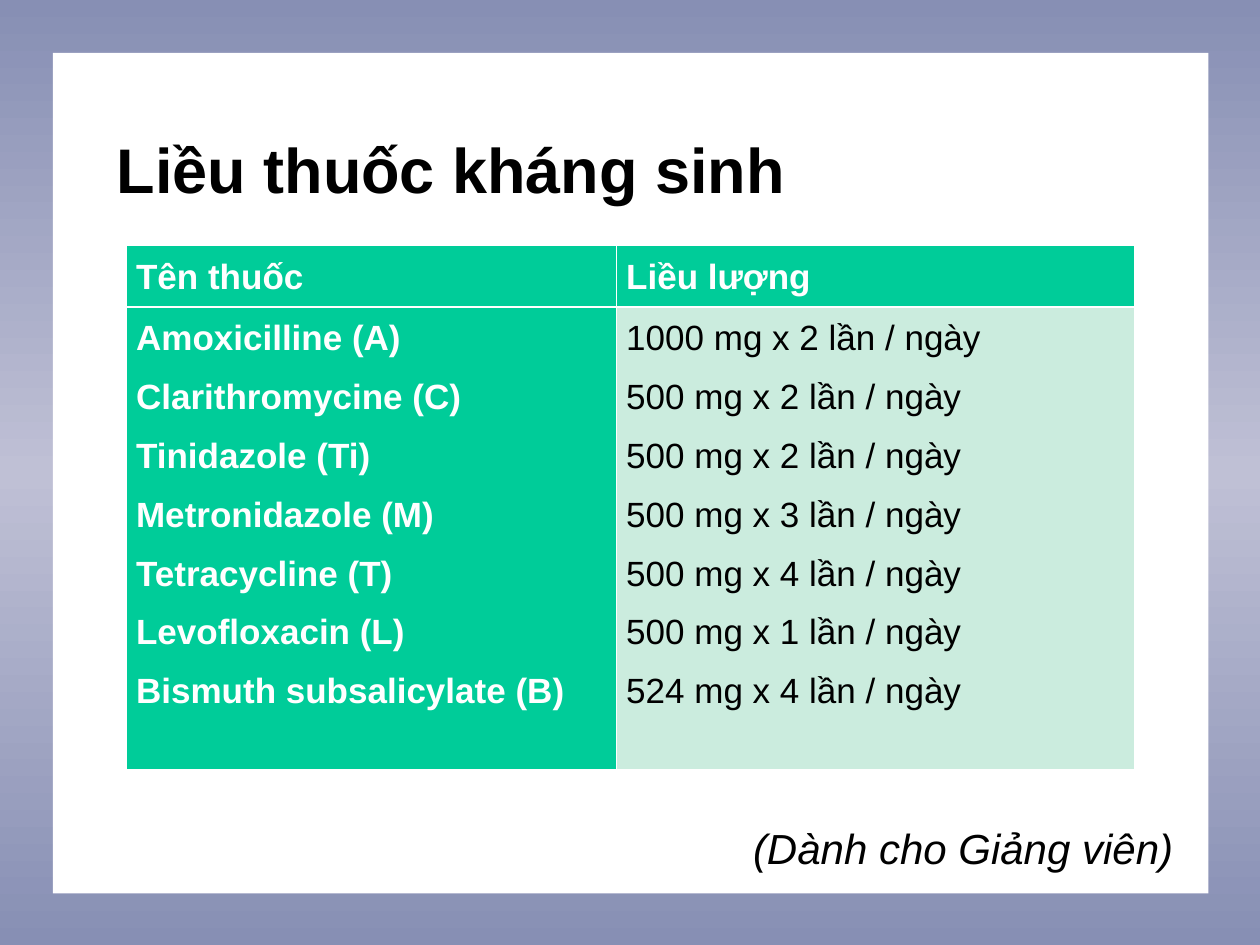
from copy import deepcopy

from pptx import Presentation
from pptx.dml.color import RGBColor
from pptx.enum.shapes import MSO_SHAPE as Shape
from pptx.enum.text import MSO_ANCHOR as Anchor, PP_ALIGN as Align
from pptx.oxml import parse_xml
from pptx.oxml.ns import nsdecls, qn
from pptx.util import Inches, Pt


def color(hex_string):
    return RGBColor.from_string(hex_string)


def add_run(paragraph, text, size, hex_string, bold=False, italic=False):
    run = paragraph.add_run()
    run.text = text
    font = run.font
    font.name, font.size = "Arial", Pt(size)
    font.bold, font.italic = bold, italic
    font.color.rgb = color(hex_string)


presentation = Presentation()
presentation.slide_width, presentation.slide_height = Inches(10), Inches(7.5)
slide = presentation.slides.add_slide(presentation.slide_layouts[6])

# Background gradient, darker at top and bottom
background = slide.background.fill
background.gradient()
background.gradient_angle = 90
stop_list = slide.element.find(".//" + qn("a:gsLst"))
stop_list.append(deepcopy(stop_list[-1]))
stops = [(0, "878FB4"), (0.5, "BFC0D5"), (1, "878FB4")]
for stop, (position, hex_string) in zip(background.gradient_stops, stops):
    stop.position = position
    stop.color.rgb = color(hex_string)

# White panel
panel = slide.shapes.add_shape(Shape.RECTANGLE, Inches(0.42), Inches(0.42),
                               Inches(9.17), Inches(6.67))
panel.shadow.inherit = False
panel.fill.solid()
panel.fill.fore_color.rgb = color("FFFFFF")
panel.line.fill.background()

# Title
title = slide.shapes.add_textbox(Inches(0.45), Inches(0), Inches(9), Inches(2.67))
title.text_frame.word_wrap = True
title.text_frame.vertical_anchor = Anchor.MIDDLE
paragraph = title.text_frame.paragraphs[0]
paragraph._p.get_or_add_pPr().set("marL", str(Inches(0.38)))
add_run(paragraph, "Liều thuốc kháng sinh", 36, "000000", bold=True)

# Audience note
note = slide.shapes.add_textbox(Inches(0.58), Inches(6.48), Inches(8.83), Inches(0.5))
note.text_frame.word_wrap = True
paragraph = note.text_frame.paragraphs[0]
paragraph.alignment = Align.RIGHT
add_run(paragraph, "(Dành cho Giảng viên)", 24, "000000", italic=True)

# Dose table: one header row, one body row with a paragraph per drug
doses = [
    ("Amoxicilline (A)", "1000 mg x 2 lần / ngày"),
    ("Clarithromycine (C)", "500 mg x 2 lần / ngày"),
    ("Tinidazole (Ti)", "500 mg x 2 lần / ngày"),
    ("Metronidazole (M)", "500 mg x 3 lần / ngày"),
    ("Tetracycline (T)", "500 mg x 4 lần / ngày"),
    ("Levofloxacin (L)", "500 mg x 1 lần / ngày"),
    ("Bismuth subsalicylate (B)", "524 mg x 4 lần / ngày"),
]
drugs, amounts = zip(*doses)
rows = [[["Tên thuốc"], ["Liều lượng"]], [drugs, amounts]]
table = slide.shapes.add_table(2, 2, Inches(1), Inches(1.95),
                               Inches(8), Inches(4.05)).table
for column, width in zip(table.columns, (3.89, 4.11)):
    column.width = Inches(width)
for row, height in zip(table.rows, (0.38, 3.67)):
    row.height = Inches(height)

for row_index, row in enumerate(rows):
    for column_index, lines in enumerate(row):
        cell = table.cell(row_index, column_index)
        is_dose = row_index == 1 and column_index == 1
        cell.margin_left = cell.margin_right = Inches(0.08)
        cell.fill.solid()
        cell.fill.fore_color.rgb = color("CBECDE" if is_dose else "00CC99")

        # White borders, thicker between header and body
        thick_side = "lnT" if row_index else "lnB"
        properties = cell._tc.get_or_add_tcPr()
        for order, side in enumerate(("lnL", "lnR", "lnT", "lnB")):
            width = Pt(1.47 if side == thick_side else 0.45)
            properties.insert(order, parse_xml(
                f'<a:{side} {nsdecls("a")} w="{width}"><a:solidFill>'
                f'<a:srgbClr val="FFFFFF"/></a:solidFill></a:{side}>'))

        for index, line in enumerate(lines):
            frame = cell.text_frame
            paragraph = frame.add_paragraph() if index else frame.paragraphs[0]
            paragraph.alignment = Align.JUSTIFY
            paragraph.line_spacing = 1.15
            paragraph.space_after = Pt(8)
            add_run(paragraph, line, 20, "000000" if is_dose else "FFFFFF",
                    bold=not is_dose)

presentation.save("out.pptx")
